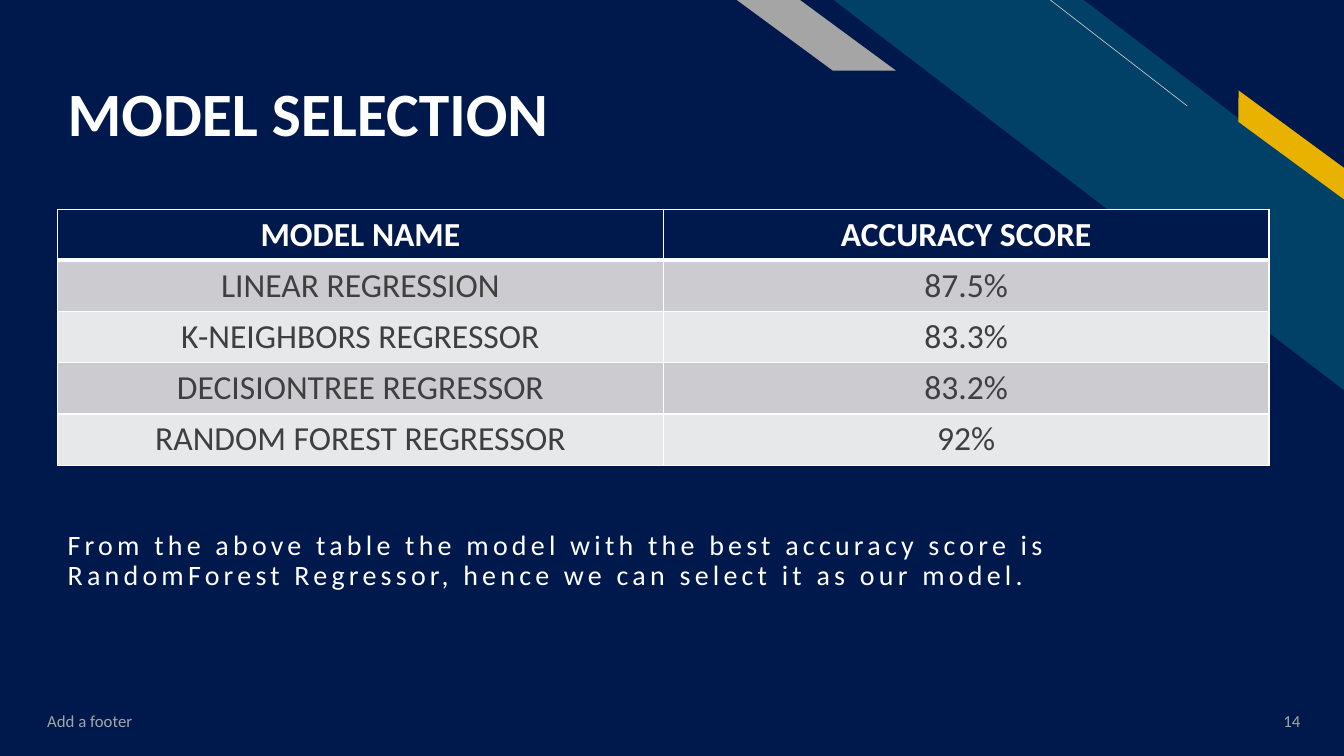
from dataclasses import dataclass

from lxml.etree import SubElement
from pptx import Presentation
from pptx.dml.color import RGBColor
from pptx.enum.shapes import MSO_CONNECTOR, MSO_SHAPE
from pptx.enum.text import MSO_ANCHOR, MSO_AUTO_SIZE, PP_ALIGN
from pptx.oxml import parse_xml
from pptx.oxml.ns import nsdecls, qn
from pptx.slide import Slide
from pptx.table import _Cell
from pptx.text.text import TextFrame
from pptx.util import Cm, Pt

NAVY, TEAL, GOLD, GRAY = "00194C", "014067", "EAB200", "A5A5A5"
WHITE, DARK, SILVER = "FFFFFF", "3F3F3F", "BFBFBF"
BANDS = ("CCCCD0", "E7E8E9")
LEFT, WIDE = 1.45, 30.53
ROW = 1.29

MODELS = [
    ("MODEL NAME", "ACCURACY SCORE"),
    ("LINEAR REGRESSION", "87.5%"),
    ("K-NEIGHBORS REGRESSOR", "83.3%"),
    ("DECISIONTREE REGRESSOR", "83.2%"),
    ("RANDOM FOREST REGRESSOR", "92%"),
]


@dataclass
class Box:
    x: float
    y: float
    w: float
    h: float

    def lens(self) -> list[Cm]:
        return [Cm(n) for n in (self.x, self.y, self.w, self.h)]


@dataclass
class Stripe:
    kind: MSO_SHAPE
    box: Box
    slant: float
    fill: str
    turn: float = 0


@dataclass
class Style:
    size: int
    color: str = WHITE
    bold: bool = False
    align: PP_ALIGN = PP_ALIGN.LEFT


@dataclass
class Label:
    text: str
    box: Box
    style: Style


STRIPES = [
    Stripe(MSO_SHAPE.DIAGONAL_STRIPE, Box(21.01, 0, 12.86, 9.83), 0.51, TEAL),
    Stripe(MSO_SHAPE.PARALLELOGRAM, Box(30.66, 3.33, 3.76, 0.64), 0.72, GOLD, 36.3),
    Stripe(MSO_SHAPE.PARALLELOGRAM, Box(18.57, 0, 4.01, 1.78), 1.36, GRAY),
]
LABELS = [
    Label("Add a footer", Box(0.94, 17.65, 11.43, 1.02), Style(12, GRAY)),
    Label("14", Box(30.96, 17.65, 2.06, 1.02), Style(12, GRAY, align=PP_ALIGN.RIGHT)),
]


def color(code: str) -> RGBColor:
    return RGBColor.from_string(code)


def write(frame: TextFrame, text: str, style: Style):
    """Put one styled run in the frame; return its paragraph and run."""
    para = frame.paragraphs[0]
    para.alignment = style.align
    run = para.add_run()
    run.text = text
    font = run.font
    font.name, font.size, font.bold = "Calibri", Pt(style.size), style.bold
    font.color.rgb = color(style.color)
    return para, run


def draw_stripe(slide: Slide, stripe: Stripe) -> None:
    shape = slide.shapes.add_shape(stripe.kind, *stripe.box.lens())
    shape.adjustments[0] = stripe.slant
    shape.rotation = stripe.turn
    shape._element.spPr.xfrm.set("flipH", "1")
    shape.fill.solid()
    shape.fill.fore_color.rgb = color(stripe.fill)
    shape.line.fill.background()
    shape.shadow.inherit = False


def draw_line(slide: Slide) -> None:
    line = slide.shapes.add_connector(
        MSO_CONNECTOR.STRAIGHT, Cm(29.92), Cm(2.67), Cm(26.47), Cm(0))
    line.line.color.rgb = color(SILVER)
    line.line.width = Pt(0.5)
    SubElement(line._element.spPr, qn("a:effectLst"))


def draw_label(slide: Slide, label: Label) -> None:
    frame = slide.shapes.add_textbox(*label.box.lens()).text_frame
    frame.word_wrap = True
    frame.vertical_anchor = MSO_ANCHOR.MIDDLE
    write(frame, label.text, label.style)


def fill_holder(holder, box: Box, text: str, style: Style, anchor: MSO_ANCHOR):
    """Move a placeholder and write its text."""
    holder.left, holder.top, holder.width, holder.height = box.lens()
    frame = holder.text_frame
    frame.word_wrap = True
    frame.auto_size = MSO_AUTO_SIZE.NONE
    frame.vertical_anchor = anchor
    para, run = write(frame, text, style)
    para.line_spacing = 0.9
    return frame, para, run


def draw_title(slide: Slide) -> None:
    frame, para, _ = fill_holder(
        slide.shapes.title, Box(LEFT, 0.58, 23.14, 3.2), "MODEL SELECTION",
        Style(44, bold=True), MSO_ANCHOR.BOTTOM)
    frame.margin_bottom = 0
    para.space_before = Pt(0)


def draw_body(slide: Slide) -> None:
    _, para, run = fill_holder(
        slide.placeholders[1], Box(LEFT, 13.26, WIDE, 1.7),
        "From the above table the model with the best accuracy score is "
        "RandomForest Regressor, hence we can select it as our model.",
        Style(20), MSO_ANCHOR.TOP)
    para.space_before = Pt(10)
    props = para._p.get_or_add_pPr()
    props.set("marL", "0")
    props.set("indent", "0")
    SubElement(props, qn("a:buNone"))
    run._r.get_or_add_rPr().set("spc", "300")


def edge_cell(cell: _Cell, top: int, base: int) -> None:
    """Give the cell white borders, with widths in points."""
    props = cell._tc.get_or_add_tcPr()
    sides = {"lnL": 1, "lnR": 1, "lnT": top, "lnB": base}
    for spot, (side, width) in enumerate(sides.items()):
        props.insert(spot, parse_xml(
            f'<a:{side} {nsdecls("a")} w="{Pt(width)}"><a:solidFill>'
            f'<a:srgbClr val="{WHITE}"/></a:solidFill></a:{side}>'))


def draw_table(slide: Slide) -> None:
    box = Box(LEFT, 5.27, WIDE, ROW * len(MODELS))
    table = slide.shapes.add_table(len(MODELS), 2, *box.lens()).table
    for r, row in enumerate(MODELS):
        head = r == 0
        style = Style(24, WHITE if head else DARK, head, PP_ALIGN.CENTER)
        for c, text in enumerate(row):
            cell = table.cell(r, c)
            cell.fill.solid()
            cell.fill.fore_color.rgb = color(NAVY if head else BANDS[(r - 1) % 2])
            edge_cell(cell, top=3 if r == 1 else 1, base=3 if head else 1)
            write(cell.text_frame, text, style)


def main() -> None:
    deck = Presentation()
    deck.slide_width, deck.slide_height = Cm(33.87), Cm(19.05)
    slide = deck.slides.add_slide(deck.slide_layouts[1])
    slide.background.fill.solid()
    slide.background.fill.fore_color.rgb = color(NAVY)
    for stripe in STRIPES:
        draw_stripe(slide, stripe)
    draw_line(slide)
    for label in LABELS:
        draw_label(slide, label)
    draw_title(slide)
    draw_body(slide)
    draw_table(slide)
    deck.save("out.pptx")


if __name__ == "__main__":
    main()
